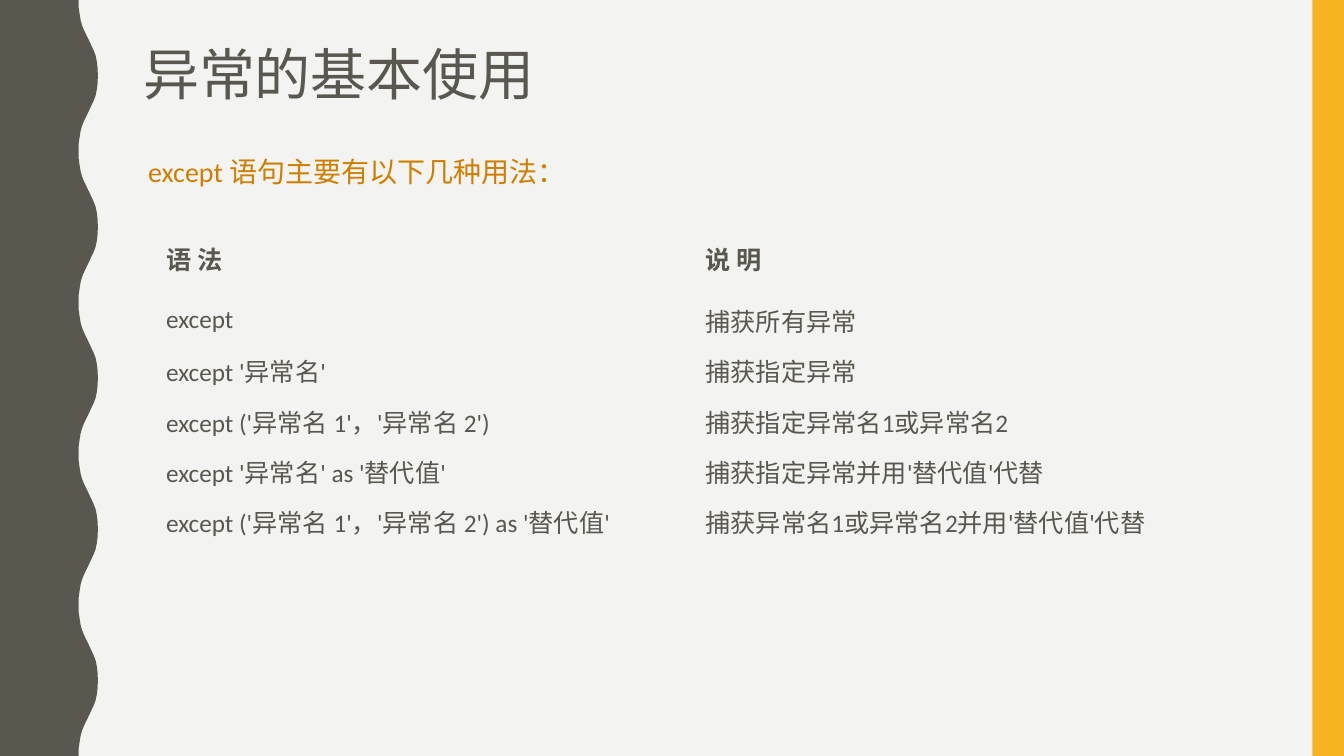
import pptx
import pptx.util
import pptx.dml.color
import pptx.enum.shapes
import pptx.enum.text
import pptx.oxml
import pptx.oxml.ns
from dataclasses import dataclass

Pt = pptx.util.Pt

TITLE = "异常的基本使用"
INTRO = "except 语句主要有以下几种用法："
ROWS = [
    ("语 法", "说 明"),
    ("except", "捕获所有异常"),
    ("except '异常名'", "捕获指定异常"),
    ("except ('异常名 1'，'异常名 2')", "捕获指定异常名1或异常名2"),
    ("except '异常名' as '替代值'", "捕获指定异常并用'替代值'代替"),
    ("except ('异常名 1'，'异常名 2') as '替代值'", "捕获异常名1或异常名2并用'替代值'代替"),
]


@dataclass(frozen=True)
class Theme:
    paper: str = "F3F3F2"
    ink: str = "59574E"
    bar: str = "F8B323"
    accent: str = "CE7F00"
    latin: str = "Calibri"
    cjk: str = "Noto Sans CJK SC"
    title: int = 40
    intro: int = 20
    cell: int = 18


T = Theme()
WIDTH, HEIGHT = 960, 540
BAR_WIDTH = 22.5
TITLE_BOX = (95, 30.2, 857.5, 128)
BODY_BOX = (98.6, 104.4, 801.4, 358.6)
TABLE_AT = (108.7, 158.4)
COLUMNS = (385.2, 406)
HEADER_HEIGHT, ROW_HEIGHT = 52.4, 36
CELL_INSETS = (10, 4, 10, 4)
WAVE_PERIOD = 108
HALF_WAVE = [
    (56.2, 0), (56.2, 5), (56.9, 10), (57.6, 14.4), (58.6, 18),
    (59.8, 21), (61.2, 24), (62.7, 27), (64.1, 30), (65.5, 33),
    (66.9, 36), (68.3, 39.6), (69.2, 44), (69.8, 49), (69.9, 54),
]


def rgb(color):
    return pptx.dml.color.RGBColor.from_string(color)


def paint(s, color):
    s.shadow.inherit = False
    s.fill.solid()
    s.fill.fore_color.rgb = rgb(color)
    s.line.fill.background()


def write(tf, text, size, color=T.ink, font=T.latin, bold=False, spacing=1.0, before=0):
    p = tf.paragraphs[0]
    p.alignment = pptx.enum.text.PP_ALIGN.LEFT
    p.line_spacing = spacing
    p.space_before = Pt(before)
    r = p.add_run()
    r.text = text
    r.font.size = Pt(size)
    r.font.bold = bold
    r.font.name = font
    r.font.color.rgb = rgb(color)
    ea = pptx.oxml.parse_xml(f'<a:ea {pptx.oxml.ns.nsdecls("a")} typeface="{T.cjk}"/>')
    r.font._element.find(pptx.oxml.ns.qn("a:latin")).addnext(ea)
    return p


def place(sp, box):
    sp.left, sp.top, sp.width, sp.height = map(Pt, box)
    tf = sp.text_frame
    tf.word_wrap = True
    tf.auto_size = pptx.enum.text.MSO_AUTO_SIZE.NONE
    tf.vertical_anchor = pptx.enum.text.MSO_ANCHOR.TOP
    return tf


def add_wave(s):
    period = HALF_WAVE + [(x, WAVE_PERIOD - y) for x, y in HALF_WAVE[-2::-1]]
    edge = [
        (Pt(x), Pt(y + n * WAVE_PERIOD))
        for n in range(HEIGHT // WAVE_PERIOD)
        for x, y in period
    ]
    builder = s.shapes.build_freeform(0, 0, scale=1.0)
    builder.add_line_segments(edge + [(0, Pt(HEIGHT))], close=True)
    paint(builder.convert_to_shape(), T.ink)


def add_usage_table(s):
    heights = [HEADER_HEIGHT] + [ROW_HEIGHT] * (len(ROWS) - 1)
    box = (*TABLE_AT, sum(COLUMNS), sum(heights))
    frame = s.shapes.add_table(len(ROWS), len(COLUMNS), *map(Pt, box))
    style = next(frame._element.iter(pptx.oxml.ns.qn("a:tableStyleId")))
    style.text = "{2D5ABB26-0587-4C30-8999-92F81FD0307C}"
    table = frame.table
    table.first_row = table.horz_banding = False
    for column, width in zip(table.columns, COLUMNS):
        column.width = Pt(width)
    for i, (texts, height) in enumerate(zip(ROWS, heights)):
        table.rows[i].height = Pt(height)
        for j, text in enumerate(texts):
            cell = table.cell(i, j)
            cell.fill.background()
            cell.vertical_anchor = pptx.enum.text.MSO_ANCHOR.MIDDLE
            (cell.margin_left, cell.margin_top,
             cell.margin_right, cell.margin_bottom) = map(Pt, CELL_INSETS)
            write(cell.text_frame, text, T.cell, bold=i == 0)


def main():
    prs = pptx.Presentation()
    prs.slide_width, prs.slide_height = Pt(WIDTH), Pt(HEIGHT)
    s = prs.slides.add_slide(prs.slide_layouts[1])
    s.background.fill.solid()
    s.background.fill.fore_color.rgb = rgb(T.paper)

    add_wave(s)
    bar = s.shapes.add_shape(
        pptx.enum.shapes.MSO_SHAPE.RECTANGLE,
        Pt(WIDTH - BAR_WIDTH), 0, Pt(BAR_WIDTH), Pt(HEIGHT))
    paint(bar, T.bar)

    write(place(s.shapes.title, TITLE_BOX), TITLE, T.title, font=T.cjk, spacing=0.9)
    p = write(place(s.placeholders[1], BODY_BOX), INTRO, T.intro,
              color=T.accent, spacing=1.1, before=7)
    pPr = p._p.get_or_add_pPr()
    pPr.set("marL", "0")
    pPr.set("indent", "0")
    pPr.append(pptx.oxml.parse_xml(f'<a:buNone {pptx.oxml.ns.nsdecls("a")}/>'))

    add_usage_table(s)
    prs.save("out.pptx")


if __name__ == "__main__":
    main()
